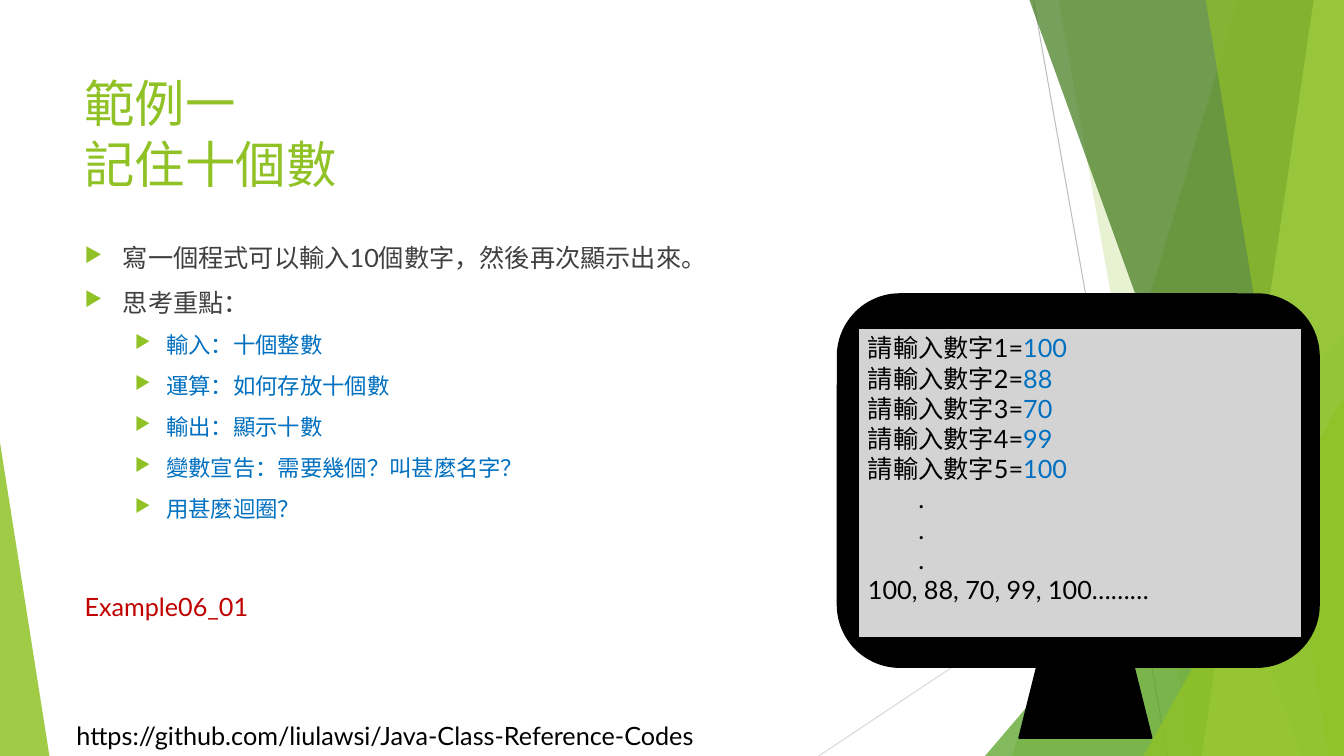
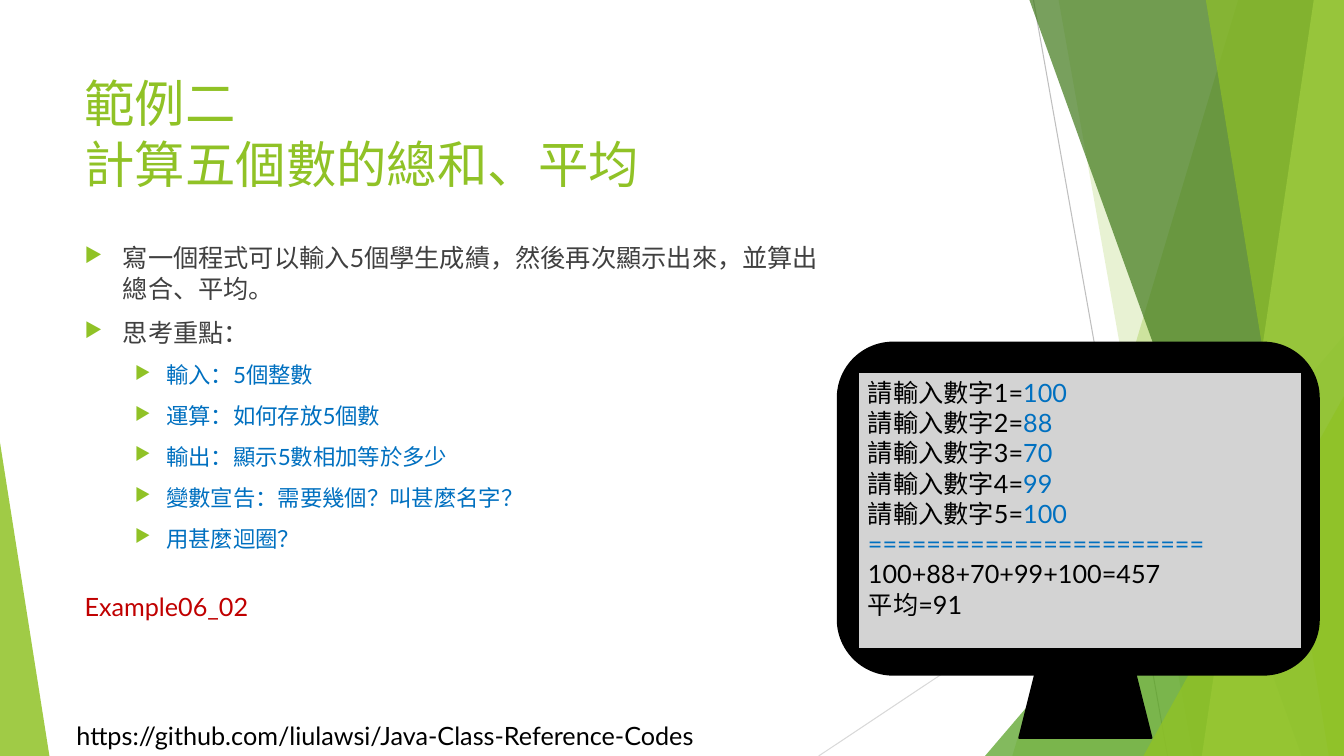
from lxml import etree
from pptx import Presentation
from pptx import util as u
from pptx.dml.color import RGBColor
from pptx.enum import shapes, text
from pptx.oxml.ns import qn

WIDTH, HEIGHT = 13.33, 7.5
FONT = "Lato"
GREEN, BLUE, RED, GREY, BLACK = "90C226", "0070C0", "C00000", "404040", "000000"
SCREEN_GREY = "D3D3D3"
LINK = "https://github.com/liulawsi/Java-Class-Reference-Codes"

# Backdrop, back to front
THIN_LINES = [((10.25, 0), (11.58, HEIGHT), "BFBFBF"),
              ((WIDTH, 4.03), (8.12, HEIGHT), "D9D9D9")]
# ("band", x at top, x at bottom, ...) or ("triangle", box, apex, ...), then colour, opacity %
BACKDROP = [
    ("band", 12.28, 10.04, GREEN, 30),
    ("band", 10.5, 11.83, GREEN, 20),
    ("triangle", (9.77, 3.33, 3.56, 4.17), 1, "54A021", 72),
    ("band", 10.21, 12.91, "3F7819", 70),
    ("band", 13.03, 11.92, "C0E474", 70),
    ("band", 11.96, 13.18, GREEN, 65),
    ("triangle", (11.34, 3.93, 1.99, 3.57), 1, GREEN, 80),
    ("triangle", (0, 4.39, 0.49, 3.11), 0, GREEN, 85),
]

READINGS = [100, 88, 70, 99, 100]
EXAMPLES = [
    {
        "title": ["範例一", "記住十個數"],
        "points": ["寫一個程式可以輸入10個數字，然後再次顯示出來。", "思考重點："],
        "hints": ["輸入：十個整數", "運算：如何存放十個數", "輸出：顯示十數",
                  "變數宣告：需要幾個？叫甚麼名字？", "用甚麼迴圈？"],
        "body_width": 7.4,
        "monitor_top": 2.92,
        "output": [(".", BLACK, 0.5)] * 3 + [("100, 88, 70, 99, 100………", BLACK, 0)],
        "file": "Example06_01",
    },
    {
        "title": ["範例二", "計算五個數的總和、平均"],
        "points": ["寫一個程式可以輸入5個學生成績，然後再次顯示出來，並算出總合、平均。",
                   "思考重點："],
        "hints": ["輸入：5個整數", "運算：如何存放5個數", "輸出：顯示5數相加等於多少",
                  "變數宣告：需要幾個？叫甚麼名字？", "用甚麼迴圈？"],
        "body_width": 7.72,
        "monitor_top": 3.4,
        "output": [("=" * 23, BLUE, 0), ("100+88+70+99+100=457", BLACK, 0),
                   ("平均=91", BLACK, 0)],
        "file": "Example06_02",
    },
]


def rgb(value):
    return RGBColor.from_string(value)


def inches(*values):
    return [u.Inches(value) for value in values]


def paint(shape, color, opacity=100, line=None):
    shape.shadow.inherit = False
    shape.fill.solid()
    shape.fill.fore_color.rgb = rgb(color)
    if opacity < 100:
        fill = shape.fill._xPr.find(qn("a:solidFill"))
        etree.SubElement(fill[0], qn("a:alpha"), val=str(opacity * 1000))
    if line:
        shape.line.color.rgb = rgb(line)
        shape.line.width = u.Pt(1.5)
    else:
        shape.line.fill.background()


def add_bullet(para):
    props = para._p.get_or_add_pPr()
    color = etree.SubElement(props, qn("a:buClr"))
    etree.SubElement(color, qn("a:srgbClr"), val=GREEN)
    etree.SubElement(props, qn("a:buSzPct"), val="80000")
    etree.SubElement(props, qn("a:buChar"), char="▶")


def write(frame, *spans, size=18, color=BLACK, left=0, hang=0, before=0,
          bullet=False, level=0):
    """Add one paragraph; a span is text or (text, colour), "\\n" is a line break."""
    first = not frame.text
    para = frame.paragraphs[0] if first else frame.add_paragraph()
    para.alignment = text.PP_ALIGN.LEFT
    para.level = level
    if before and not first:
        para.space_before = u.Pt(before)
    if left:
        props = para._p.get_or_add_pPr()
        props.set("marL", str(u.Inches(left)))
        props.set("indent", str(-u.Inches(hang)))
    if bullet:
        add_bullet(para)
    for item in spans:
        if item == "\n":
            para.add_line_break()
            continue
        words, tint = item if isinstance(item, tuple) else (item, color)
        span = para.add_run()
        span.text = words
        span.font.name = FONT
        span.font.size = u.Pt(size)
        span.font.color.rgb = rgb(tint)


def add_frame(page, box, wrap=True):
    frame = page.shapes.add_textbox(*inches(*box)).text_frame
    frame.word_wrap = wrap
    if not wrap:
        frame.auto_size = text.MSO_AUTO_SIZE.SHAPE_TO_FIT_TEXT
    return frame


def add_backdrop(page):
    group = page.shapes.add_group_shape().shapes
    for start, end, color in THIN_LINES:
        line = group.add_connector(shapes.MSO_CONNECTOR.STRAIGHT, *inches(*start, *end))
        line.line.color.rgb = rgb(color)
        line.line.width = u.Pt(0.75)
        etree.SubElement(line._element.spPr, qn("a:effectLst"))
    for kind, place, detail, color, opacity in BACKDROP:
        if kind == "band":
            outline = group.build_freeform(*inches(place, 0))
            corners = [(WIDTH, 0), (WIDTH, HEIGHT), (detail, HEIGHT)]
            outline.add_line_segments([inches(*corner) for corner in corners])
            shape = outline.convert_to_shape()
        else:
            shape = group.add_shape(shapes.MSO_SHAPE.ISOSCELES_TRIANGLE, *inches(*place))
            shape.adjustments[0] = detail
        paint(shape, color, opacity)


def add_monitor(page, top, output):
    """Draw a monitor that stands at a fixed base and shows the program's dialogue."""
    height = 7.32 - top
    frame_height = 0.84 * height
    parts = [
        ("ROUNDED_RECTANGLE", (8.31, top, 4.77, frame_height), BLACK),
        ("RECTANGLE", (8.51, top + 0.075 * height, 4.4, 0.7 * height), SCREEN_GREY),
        ("TRAPEZOID", (10.11, top + frame_height, 1.31, height - frame_height), BLACK),
    ]
    group = page.shapes.add_group_shape().shapes
    frame, screen, foot = [
        group.add_shape(shapes.MSO_SHAPE[name], *inches(*box)) for name, box, _ in parts]
    for shape, (_, _, color) in zip((frame, screen, foot), parts):
        paint(shape, color, line=BLACK)
    dialogue = screen.text_frame
    dialogue.word_wrap = True
    dialogue.vertical_anchor = text.MSO_ANCHOR.TOP
    for number, reading in enumerate(READINGS, 1):
        write(dialogue, f"請輸入數字{number}=", (str(reading), BLUE))
    for words, color, left in output:
        write(dialogue, words, color=color, left=left)


def add_example(deck, example):
    page = deck.slides.add_slide(deck.slide_layouts[6])
    add_backdrop(page)
    write(add_frame(page, (0.66, 7.1, 6.7, 0.4), wrap=False), LINK)
    first, second = example["title"]
    write(add_frame(page, (0.74, 0.67, 9.4, 1.44)), first, "\n", second,
          size=36, color=GREEN)
    body = add_frame(page, (0.74, 2.36, example["body_width"], 4.24))
    for point in example["points"]:
        write(body, point, color=GREY, left=0.38, hang=0.38, before=10, bullet=True)
    for hint in example["hints"]:
        write(body, hint, size=16, color=BLUE, left=0.81, hang=0.31, before=10,
              bullet=True, level=1)
    add_monitor(page, example["monitor_top"], example["output"])
    write(add_frame(page, (0.74, 5.82, 1.83, 0.4), wrap=False), example["file"], color=RED)


def main():
    deck = Presentation()
    deck.slide_width, deck.slide_height = inches(WIDTH, HEIGHT)
    for example in EXAMPLES:
        add_example(deck, example)
    deck.save("out.pptx")


if __name__ == "__main__":
    main()
